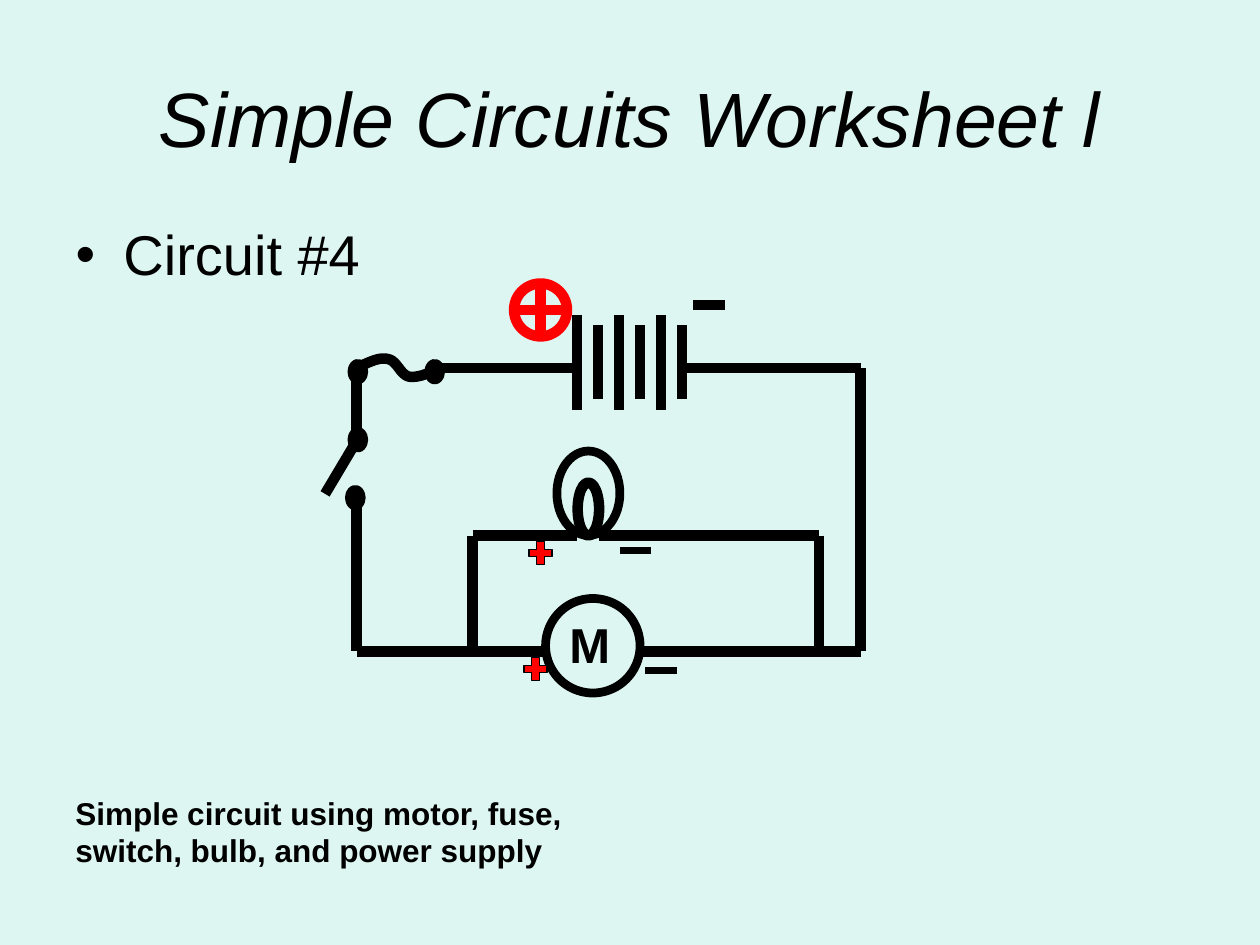
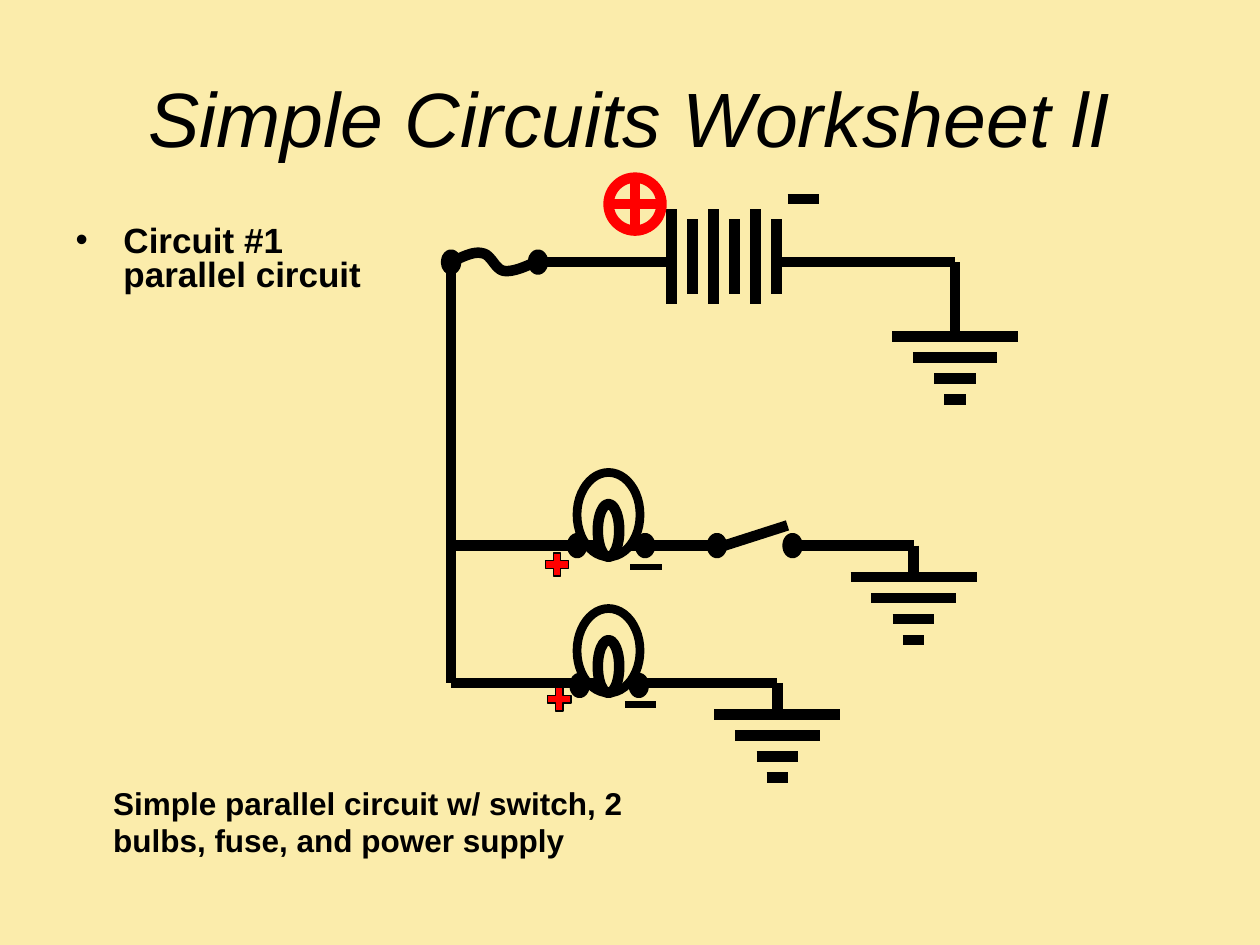
"""Build two worksheet slides with simple electric circuit diagrams."""
from itertools import pairwise
from typing import NamedTuple

from lxml.etree import SubElement
from pptx import Presentation
from pptx.dml.color import RGBColor
from pptx.enum.shapes import MSO_CONNECTOR, MSO_SHAPE
from pptx.enum.text import MSO_ANCHOR, MSO_AUTO_SIZE, PP_ALIGN
from pptx.oxml.ns import qn
from pptx.util import Inches, Pt

BLACK = "000000"
RED = "FF0000"
FONT = "Arial"
WIRE = 6
OUTLINE = 5
MINUS = 4
STEP = 1 / 6
GROUND_WIDTHS = (1, 0.67, 0.33, 0.17)
FUSE_CURVES = (
    ((0, 0), (0.09, -0.04), (0.18, -0.09), (0.25, -0.07)),
    ((0.25, -0.07), (0.32, -0.06), (0.35, 0.06), (0.42, 0.07)),
    ((0.42, 0.07), (0.49, 0.08), (0.58, 0.04), (0.67, 0)),
)


class Point(NamedTuple):
    x: float
    y: float


class Area(NamedTuple):
    left: float
    top: float
    width: float
    height: float


class Polarity(NamedTuple):
    plus: Point
    minus: Point


class Label(NamedTuple):
    text: str
    area: Area
    size: int


class Circuit(NamedTuple):
    background: str
    title: str
    heading: Label
    heading_format: dict
    heading_spacing: float
    supply: Point
    wires: list
    dots: list
    bulbs: list
    grounds: list
    polarities: list
    motors: list
    labels: list


CIRCUITS = (
    Circuit(
        background="DEF6F1",
        title="Simple Circuits Worksheet l",
        heading=Label("Circuit #4", Area(0.5, 1.75, 3.33, 0.58), 32),
        heading_format={"bold": False},
        heading_spacing=0.9,
        supply=Point(4.58, 2.92),
        wires=[
            [(6.83, 2.92), (6.83, 5.17)],
            [(2.83, 2.92), (2.83, 3.5), (2.58, 3.92)],
            [(2.83, 3.92), (2.83, 5.17), (4.33, 5.17)],
            [(5.08, 5.17), (6.5, 5.17), (6.83, 5.17)],
            [(3.75, 5.17), (3.75, 4.25), (4.58, 4.25)],
            [(4.75, 4.25), (6.5, 4.25), (6.5, 5.17)],
        ],
        dots=[(2.84, 2.95), (3.45, 2.95), (2.84, 3.49), (2.82, 3.95)],
        bulbs=[Point(4.67, 4.25)],
        grounds=[],
        polarities=[
            Polarity(Point(4.29, 4.39), Point(4.92, 4.37)),
            Polarity(Point(4.25, 5.31), Point(5.12, 5.32)),
        ],
        motors=[Area(4.33, 4.75, 0.75, 0.75)],
        labels=[
            Label("Simple circuit using motor, fuse,\vswitch, bulb, and power supply",
                  Area(0.5, 6.25, 5, 0.7), 18),
            Label("M", Area(4.42, 4.83, 0.67, 0.57), 28),
        ],
    ),
    Circuit(
        background="FBECAB",
        title="Simple Circuits Worksheet lI",
        heading=Label("Circuit #1\vparallel circuit", Area(0.5, 1.75, 2.67, 0.67), 20),
        heading_format={"bold": True},
        heading_spacing=0.8,
        supply=Point(5.33, 2.08),
        wires=[
            [(7.58, 2.08), (7.58, 2.67)],
            [(3.58, 2.08), (3.58, 5.42), (4.75, 5.42)],
            [(3.58, 4.33), (4.75, 4.33)],
            [(5, 4.33), (5.75, 4.33), (6.25, 4.17)],
            [(6.33, 4.33), (7.25, 4.33), (7.25, 4.58)],
            [(5, 5.42), (6.17, 5.42), (6.17, 5.67)],
        ],
        dots=[(3.58, 2.08), (4.27, 2.08), (4.58, 4.33), (5.12, 4.33),
              (5.69, 4.33), (6.29, 4.33), (4.6, 5.44), (5.07, 5.44)],
        bulbs=[Point(4.83, 4.42), Point(4.83, 5.5)],
        grounds=[Point(7.58, 2.67), Point(7.25, 4.58), Point(6.17, 5.67)],
        polarities=[
            Polarity(Point(4.42, 4.48), Point(5, 4.5)),
            Polarity(Point(4.44, 5.55), Point(4.96, 5.59)),
        ],
        motors=[],
        labels=[
            Label("Simple parallel circuit w/ switch, 2 bulbs, fuse, and power supply",
                  Area(0.8, 6.17, 4.4, 0.7), 18),
        ],
    ),
)


def color(value: str) -> RGBColor:
    """Turn a hex string into a colour."""
    return RGBColor.from_string(value)


def apply(target, values: dict) -> None:
    """Set each named attribute on the target."""
    for name, value in values.items():
        setattr(target, name, value)


def style_text(para, size: int, **values) -> None:
    """Give a paragraph the shared font and no space before."""
    para.space_before = Pt(0)
    for span in para.runs:
        apply(span.font, {"name": FONT, "size": Pt(size), **values})
        span.font.color.rgb = color(BLACK)


def place(shape, area: Area) -> None:
    """Move and size a shape in inches."""
    names = ("left", "top", "width", "height")
    apply(shape, dict(zip(names, map(Inches, area))))


def style_line(shape, width: float, stroke: str = BLACK) -> None:
    """Set the stroke of a shape or connector."""
    shape.line.color.rgb = color(stroke)
    shape.line.width = Pt(width)


def add_wire(page, points: list, width: float = WIRE) -> None:
    """Join consecutive points with straight connectors."""
    for start, end in pairwise(points):
        wire = page.shapes.add_connector(
            MSO_CONNECTOR.STRAIGHT, *map(Inches, (*start, *end)))
        style_line(wire, width)
        SubElement(wire._element.spPr, qn("a:effectLst"))


def add_outline(page, kind, area: Area, width: float, stroke: str = BLACK,
                fill: str | None = None) -> None:
    """Draw a preset shape, unfilled unless a fill is given."""
    shape = page.shapes.add_shape(kind, *map(Inches, area))
    shape.shadow.inherit = False
    style_line(shape, width, stroke)
    if fill:
        shape.fill.solid()
        shape.fill.fore_color.rgb = color(fill)
    else:
        shape.fill.background()


def curve_points(controls: tuple, steps: int = 12) -> list[Point]:
    """Sample a cubic curve after its start point."""
    points = []
    for step in range(1, steps + 1):
        t = step / steps
        weights = ((1 - t) ** 3, 3 * t * (1 - t) ** 2, 3 * t * t * (1 - t), t ** 3)
        points.append(Point(*(sum(w * c for w, c in zip(weights, axis))
                              for axis in zip(*controls))))
    return points


def add_fuse(page, start: Point) -> None:
    """Draw the wavy fuse to the right of its start."""
    builder = page.shapes.build_freeform(Inches(start.x), Inches(start.y))
    builder.add_line_segments(
        [(Inches(start.x + point.x), Inches(start.y + point.y))
         for controls in FUSE_CURVES for point in curve_points(controls)],
        close=False)
    fuse = builder.convert_to_shape()
    fuse.shadow.inherit = False
    fuse.fill.background()
    style_line(fuse, WIRE)


def add_supply(page, anchor: Point) -> None:
    """Draw the battery, its signs, its leads and the fuse."""
    x, y = anchor
    for index in range(6):
        plate = x + index * STEP
        above, below = (0.34, 0.25) if index % 2 else (0.42, 0.33)
        add_wire(page, [(plate, y - above), (plate, y + below)])
    add_wire(page, [(x + 5 * STEP, y), (x + 2.25, y)])
    add_wire(page, [(x, y), (x - 1.08, y)])
    add_fuse(page, Point(x - 1.75, y))
    add_outline(page, MSO_SHAPE.FLOWCHART_OR,
                Area(x - 0.5, y - 0.67, 0.42, 0.42), WIRE, RED)
    add_wire(page, [(x + 0.92, y - 0.5), (x + 1.17, y - 0.5)])


def add_bulb(page, base: Point) -> None:
    """Draw a bulb and its filament standing on a base point."""
    for width, height, stroke in ((0.17, 0.42, WIRE), (0.5, 0.67, OUTLINE)):
        area = Area(base.x - width / 2, base.y - height, width, height)
        add_outline(page, MSO_SHAPE.OVAL, area, stroke)


def add_ground(page, top: Point) -> None:
    """Draw the shrinking bars of a ground symbol."""
    for index, width in enumerate(GROUND_WIDTHS):
        y = top.y + index * STEP
        add_wire(page, [(top.x - width / 2, y), (top.x + width / 2, y)])


def add_polarity(page, signs: Polarity) -> None:
    """Draw a red plus and a black minus."""
    (x, y), minus = signs
    add_outline(page, MSO_SHAPE.MATH_PLUS,
                Area(x - 0.125, y - 0.125, 0.25, 0.25), 0, BLACK, RED)
    add_wire(page, [minus, (minus.x + 0.25, minus.y)], MINUS)


def add_label(page, label: Label) -> None:
    """Write bold text in a wrapping box."""
    box = page.shapes.add_textbox(*map(Inches, label.area))
    box.text_frame.word_wrap = True
    box.text_frame.text = label.text
    style_text(box.text_frame.paragraphs[0], label.size, bold=True)


def fill_placeholders(page, circuit: Circuit) -> None:
    """Write the title and the bulleted heading."""
    title, body = page.shapes.title, page.placeholders[1]
    texts = ((title, circuit.title, Area(0.5, 0.3, 9, 1.25)),
             (body, circuit.heading.text, circuit.heading.area))
    for shape, text, area in texts:
        place(shape, area)
        shape.text_frame.text = text
        apply(shape.text_frame, {"auto_size": MSO_AUTO_SIZE.NONE, "word_wrap": True})
    title.text_frame.vertical_anchor = MSO_ANCHOR.MIDDLE
    para = title.text_frame.paragraphs[0]
    para.alignment = PP_ALIGN.CENTER
    style_text(para, 44, italic=True)
    para = body.text_frame.paragraphs[0]
    para.line_spacing = circuit.heading_spacing
    style_text(para, circuit.heading.size, **circuit.heading_format)
    properties = para._p.get_or_add_pPr()
    properties.set("marL", str(Inches(0.38)))
    properties.set("indent", str(-Inches(0.38)))
    SubElement(properties, qn("a:buChar")).set("char", "•")


def add_circuit(deck, circuit: Circuit) -> None:
    """Add one slide with its circuit diagram."""
    page = deck.slides.add_slide(deck.slide_layouts[1])
    page.background.fill.solid()
    page.background.fill.fore_color.rgb = color(circuit.background)
    fill_placeholders(page, circuit)
    add_supply(page, circuit.supply)
    for x, y in circuit.dots:
        add_outline(page, MSO_SHAPE.FLOWCHART_CONNECTOR,
                    Area(x - 0.04, y - 0.06, 0.08, 0.12), WIRE, BLACK, BLACK)
    for motor in circuit.motors:
        add_outline(page, MSO_SHAPE.OVAL, motor, OUTLINE)
    parts = ((add_wire, circuit.wires), (add_bulb, circuit.bulbs),
             (add_ground, circuit.grounds), (add_polarity, circuit.polarities),
             (add_label, circuit.labels))
    for draw, items in parts:
        for item in items:
            draw(page, item)


def main() -> None:
    """Build and save the deck."""
    deck = Presentation()
    apply(deck, {"slide_width": Inches(10), "slide_height": Inches(7.5)})
    for circuit in CIRCUITS:
        add_circuit(deck, circuit)
    deck.save("out.pptx")


if __name__ == "__main__":
    main()
